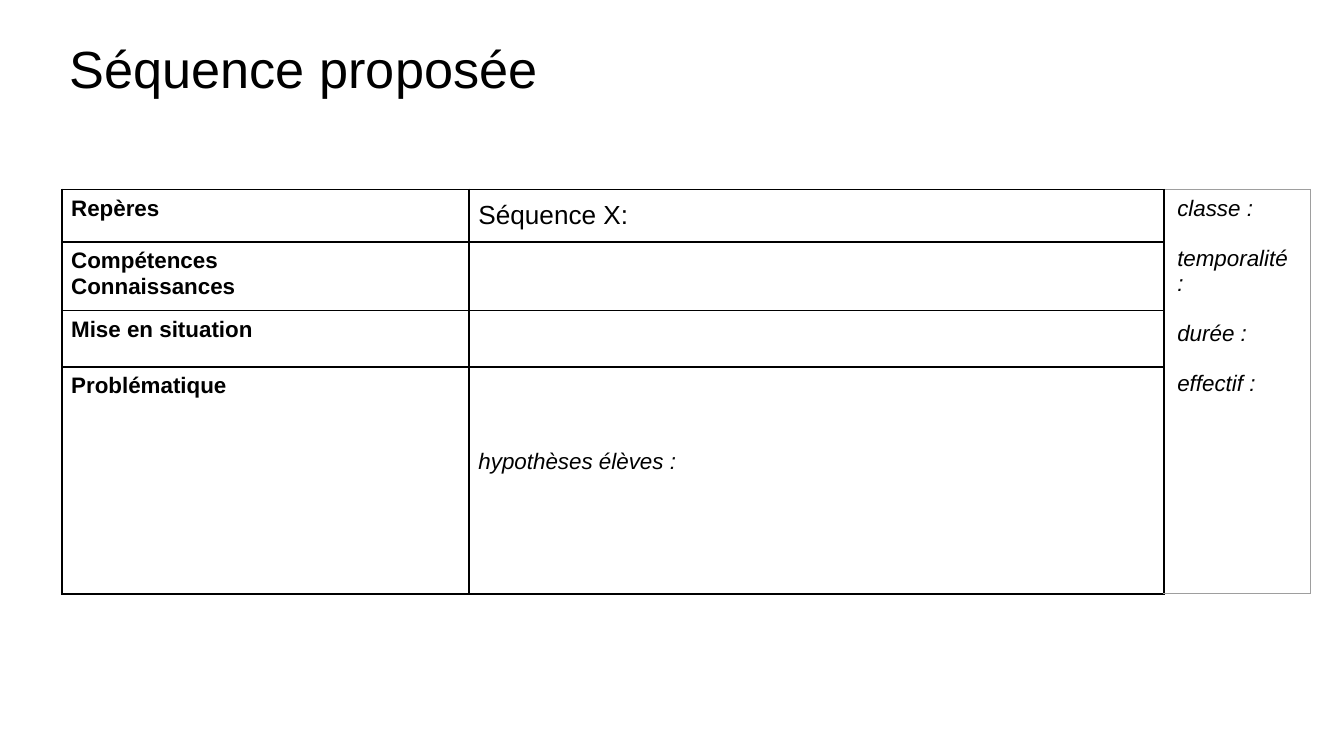
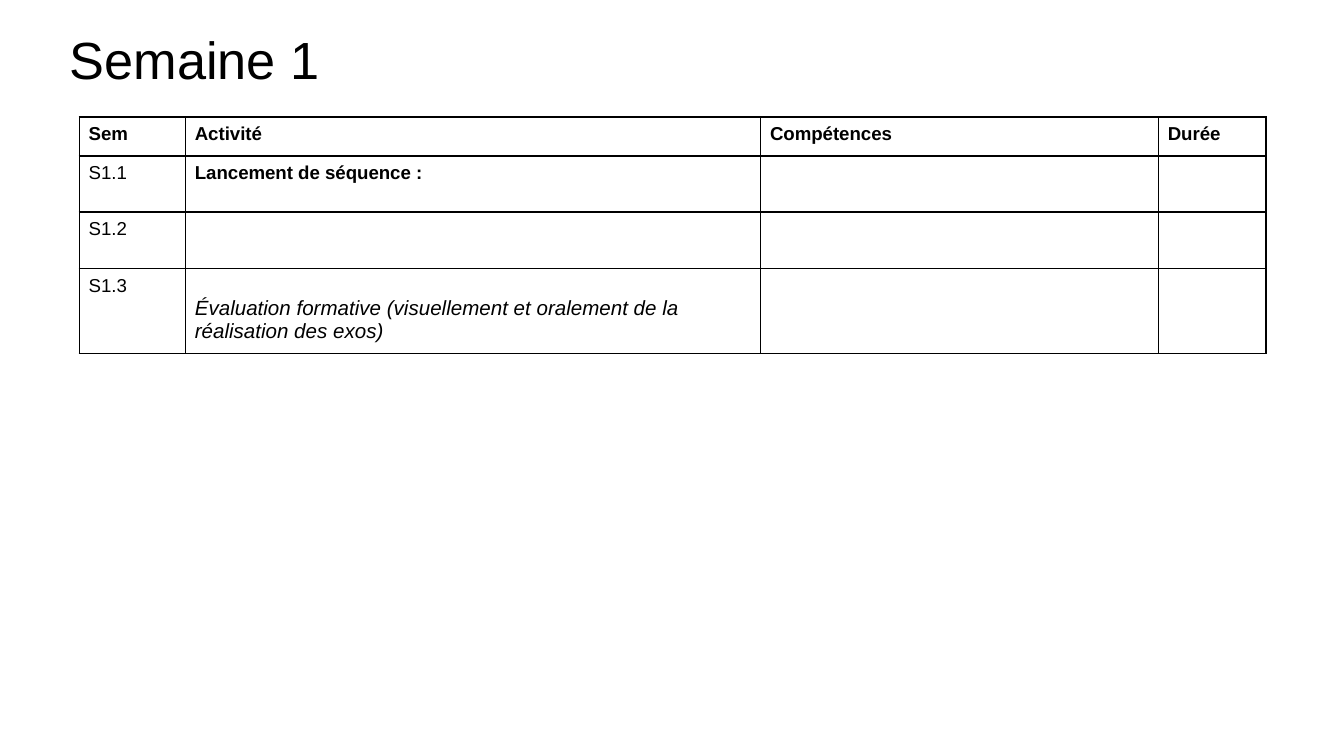
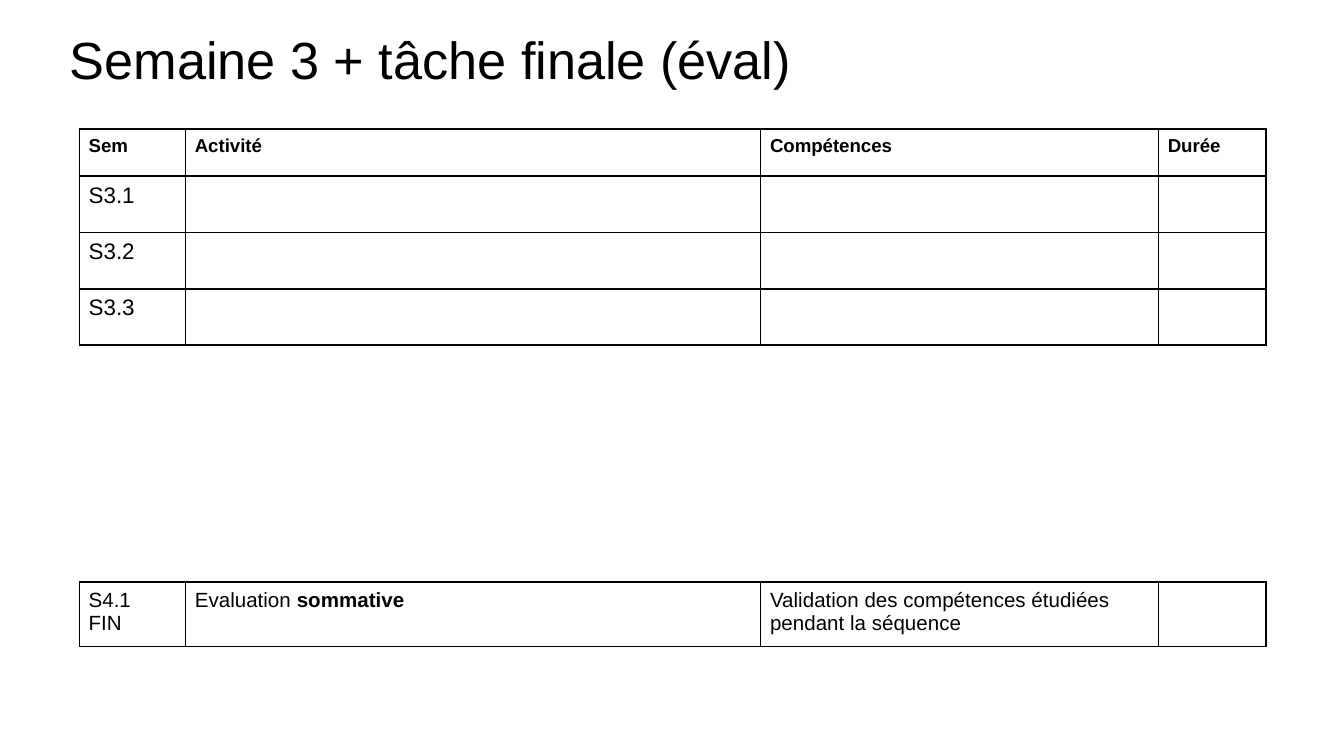
from lxml import etree
from pptx import Presentation
from pptx.dml.color import RGBColor
from pptx.enum.text import MSO_ANCHOR, MSO_AUTO_SIZE, PP_ALIGN
from pptx.oxml.ns import qn
from pptx.util import Inches, Pt

LEFT, TOP, NO_FIT = PP_ALIGN.LEFT, MSO_ANCHOR.TOP, MSO_AUTO_SIZE.NONE
TITLE_ONLY = 5

# Shared look
COLORS = {"ink": "000000", "side": "9E9E9E"}
FONT = "Arial"
INK_BORDER = ("ink", 0.96)
SIDE_BORDER = ("side", 0.75)
BORDERS = dict.fromkeys("LRTB", INK_BORDER)
SIDE_BORDERS = {**dict.fromkeys("LRTB", SIDE_BORDER), "L": INK_BORDER}
CELL_INSETS = {"margin_left": 0.07, "margin_right": 0.07,
               "margin_top": 0.05, "margin_bottom": 0.05}

# Shared planning grid
PLAN_LEFT = 0.59
PLAN_COLUMNS = [0.79, 4.28, 2.96, 0.8]
PLAN_ROW = 0.42


def add_span(para, text, size, **formats):
    span = para.add_run()
    span.text = text
    span.font.color.rgb = RGBColor.from_string(COLORS["ink"])
    for name, value in {"name": FONT, "size": Pt(size), **formats}.items():
        setattr(span.font, name, value)


def add_page(deck, title, top):
    page = deck.slides.add_slide(deck.slide_layouts[TITLE_ONLY])
    box = page.shapes.title
    place = {"left": 0.42, "top": top, "width": 9.15, "height": 0.75}
    for name, value in place.items():
        setattr(box, name, Inches(value))
    frame = box.text_frame
    for side in ("left", "right", "top", "bottom"):
        setattr(frame, "margin_" + side, Inches(0.1))
    frame.auto_size, frame.vertical_anchor = NO_FIT, TOP
    para = frame.paragraphs[0]
    para.alignment = LEFT
    add_span(para, title, 28)
    return page


def set_borders(cell, borders):
    properties = cell._tc.get_or_add_tcPr()
    for index, side in enumerate("LRTB"):
        for line in properties.findall(qn("a:ln" + side)):
            properties.remove(line)
        color, width = borders[side]
        line = etree.Element(qn("a:ln" + side), w=str(Pt(width)))
        fill = etree.SubElement(line, qn("a:solidFill"))
        etree.SubElement(fill, qn("a:srgbClr"), val=COLORS[color])
        properties.insert(index, line)


def add_table(page, left, top, columns, rows):
    shape = page.shapes.add_table(
        len(rows), len(columns), Inches(left), Inches(top),
        Inches(sum(columns)), Inches(sum(rows)))
    table = shape.table
    table.first_row = table.horz_banding = False
    for column, width in zip(table.columns, columns):
        column.width = Inches(width)
    for row, height in zip(table.rows, rows):
        row.height = Inches(height)
    for cell in table.iter_cells():
        cell.fill.background()
        set_borders(cell, BORDERS)
        for name, value in CELL_INSETS.items():
            setattr(cell, name, Inches(value))
    return table


def write(cell, lines, size, gap=0, spacing=None, **formats):
    """Write one paragraph per line, with a gap in points between them."""
    frame = cell.text_frame
    for index, line in enumerate(lines):
        para = frame.add_paragraph() if index else frame.paragraphs[0]
        para.alignment, para.line_spacing = LEFT, spacing
        if index and gap:
            para.space_before = Pt(gap)
        add_span(para, line, size, **formats)


def add_plan(page, top, header_height, weeks, size, last_height=PLAN_ROW):
    """Add a week plan: a header row, then one row per session."""
    rows = [header_height] + [PLAN_ROW] * (len(weeks) - 1) + [last_height]
    table = add_table(page, PLAN_LEFT, top, PLAN_COLUMNS, rows)
    for column, label in enumerate(["Sem", "Activité", "Compétences", "Durée"]):
        write(table.cell(0, column), [label], 10, bold=True)
    for row, week in enumerate(weeks, 1):
        write(table.cell(row, 0), [week], size)
    return table


def build_sequence(deck):
    page = add_page(deck, "Séquence proposée", 0.17)
    table = add_table(page, 0.46, 1.41, [3.03, 5.17, 1.09],
                      [0.39, 0.51, 0.42, 1.69])
    headings = [["Repères"], ["Compétences", "Connaissances"],
                ["Mise en situation"], ["Problématique"]]
    for row, lines in enumerate(headings):
        write(table.cell(row, 0), lines, 12, bold=True)
        set_borders(table.cell(row, 2), SIDE_BORDERS)
    write(table.cell(0, 1), ["Séquence X:"], 14, spacing=1.15)
    hypotheses = table.cell(3, 1)
    hypotheses.margin_top = Inches(0.61)
    write(hypotheses, ["hypothèses élèves :"], 12, italic=True)

    # Side column, merged over all rows
    side = table.cell(0, 2)
    side.merge(table.cell(3, 2))
    side.margin_left = side.margin_right = Inches(0.1)
    write(side, ["classe :", "temporalité :", "durée :", "effectif :"], 12,
          gap=13.4, italic=True)


def build_week_one(deck):
    page = add_page(deck, "Semaine 1", 0.1)
    table = add_plan(page, 0.87, 0.29, ["S1.1", "S1.2", "S1.3"], 10, 0.63)
    write(table.cell(1, 1), ["Lancement de séquence :"], 10, bold=True)
    review = table.cell(3, 1)
    review.margin_top = Inches(0.21)
    write(review, ["Évaluation formative (visuellement et oralement de la "
                   "réalisation des exos)"], 11, italic=True)


def build_week_three(deck):
    page = add_page(deck, "Semaine 3 + tâche finale (éval)", 0.1)
    add_plan(page, 0.96, 0.35, ["S3.1", "S3.2", "S3.3"], 12)

    # Final task
    final = add_table(page, PLAN_LEFT, 4.33, PLAN_COLUMNS, [0.48])
    write(final.cell(0, 0), ["S4.1", "FIN"], 11)
    task = final.cell(0, 1)
    write(task, ["Evaluation "], 11)
    add_span(task.text_frame.paragraphs[0], "sommative", 11, bold=True)
    write(final.cell(0, 2),
          ["Validation des compétences étudiées pendant la séquence"], 11)


def main():
    deck = Presentation()
    deck.slide_width = Inches(10)
    deck.slide_height = deck.slide_width * 9 // 16
    build_sequence(deck)
    build_week_one(deck)
    build_week_three(deck)
    deck.save("out.pptx")


if __name__ == "__main__":
    main()
